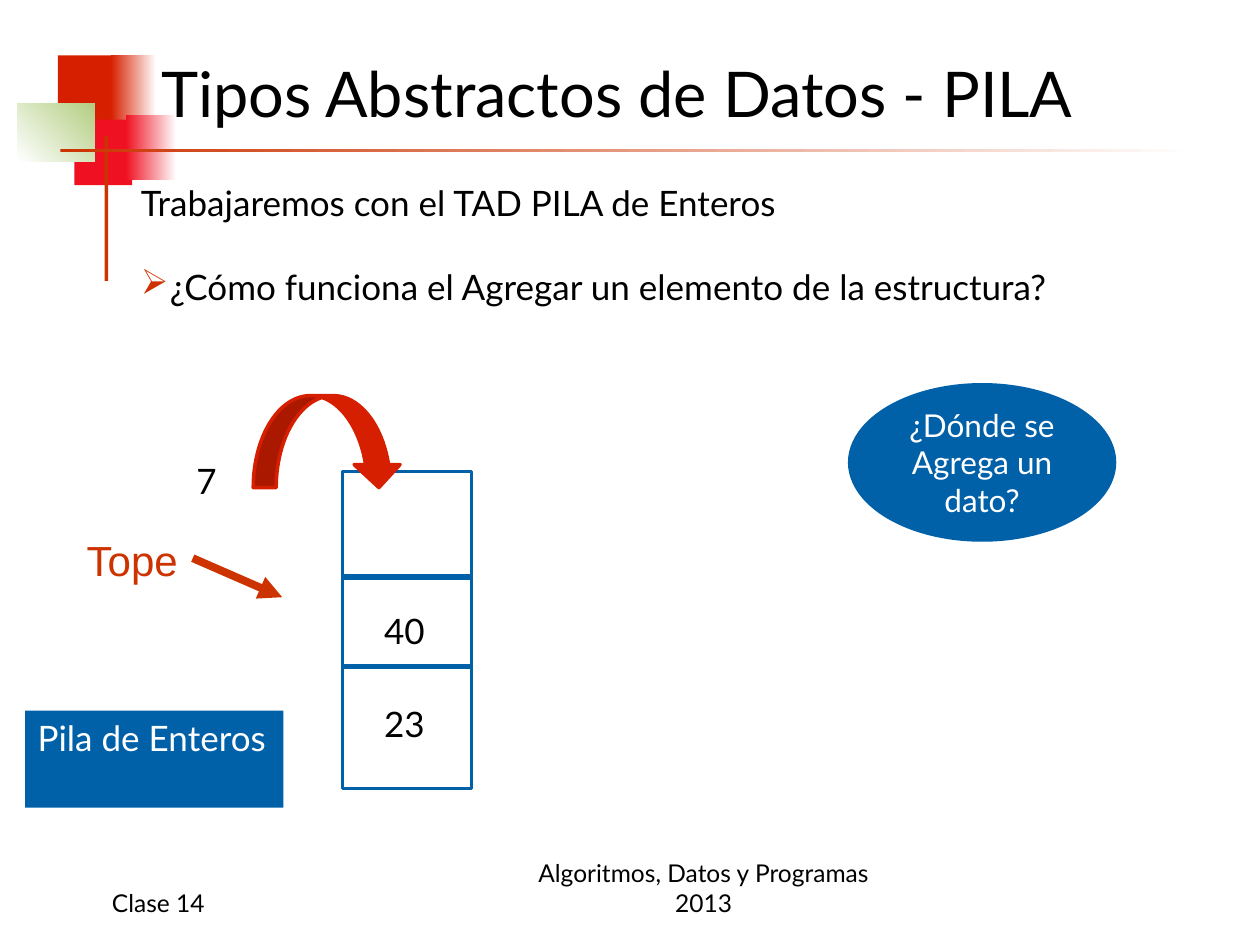
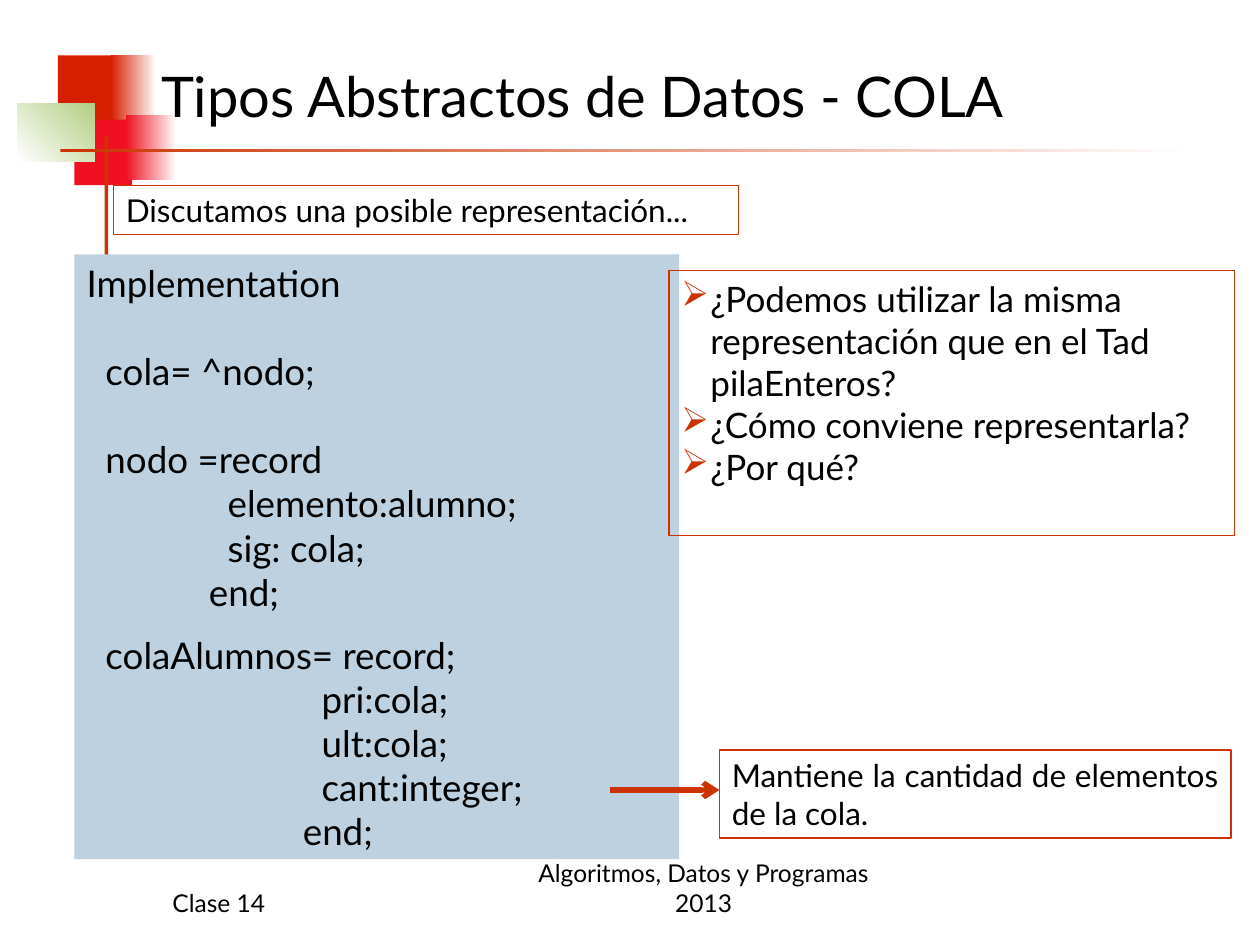
"""Build two class slides on the stack and queue abstract data types."""
from dataclasses import dataclass
from typing import NamedTuple

from lxml.etree import SubElement
from pptx import Presentation
from pptx.dml.color import RGBColor
from pptx.enum.shapes import MSO_CONNECTOR, MSO_SHAPE
from pptx.enum.text import MSO_ANCHOR, PP_ALIGN
from pptx.oxml.ns import qn
from pptx.util import Inches, Pt

COLORS = {
    "black": "000000",
    "white": "FFFFFF",
    "red": "D61F00",
    "crimson": "EF1121",
    "green": "B3CE82",
    "rust": "CC3300",
    "blue": "0060A8",
    "pale_blue": "BED1E0",
}
BULLET_INDENT = Inches(0.23)


class Frame(NamedTuple):
    """Position and size in inches."""

    left: float
    top: float
    width: float
    height: float

    def lengths(self) -> list:
        """Return the four values as lengths."""
        return [Inches(value) for value in self]


@dataclass
class Band:
    """Decorative rectangle, fading from its colour when an end is given."""

    frame: Frame
    color: str
    fade_to: str = ""
    angle: int = 0


@dataclass
class Line:
    """Paragraph of text with its spacing in points."""

    text: str
    bullet: bool = False
    before: float = 0


BANDS = [
    Band(Frame(0.46, 0.44, 0.48, 0.52), "red"),
    Band(Frame(0.88, 0.44, 0.36, 0.52), "red", "white"),
    Band(Frame(0.59, 0.95, 0.46, 0.52), "crimson"),
    Band(Frame(1, 0.91, 0.4, 0.52), "crimson", "white"),
    Band(Frame(0.14, 0.82, 0.61, 0.46), "white", "green", 45),
    Band(Frame(0.83, 1.08, 0.03, 1.15), "rust"),
    Band(Frame(0.48, 1.18, 9, 0.03), "rust", "white"),
]
QUEUE_CODE = [
    Line("Implementation"),
    Line("  cola= ^nodo;", before=25.2),
    Line("  nodo =record", before=25.2),
    Line("               elemento:alumno;"),
    Line("               sig: cola;"),
    Line("             end;"),
    Line("  colaAlumnos= record;", before=10.8),
    Line("                         pri:cola;"),
    Line("                         ult:cola;"),
    Line("                         cant:integer;"),
    Line("                       end;"),
]


def rgb(name: str) -> RGBColor:
    """Look up a named colour."""
    return RGBColor.from_string(COLORS[name])


def add_bullet(para) -> None:
    """Give a paragraph a hanging arrow bullet."""
    properties = para._p.get_or_add_pPr()
    properties.set("marL", str(BULLET_INDENT))
    properties.set("indent", str(-BULLET_INDENT))
    color = SubElement(properties, qn("a:buClr"))
    SubElement(color, qn("a:srgbClr"), val=COLORS["rust"])
    SubElement(properties, qn("a:buChar"), char="➢")


def write_text(box, text: str | list[Line], *, size: float = 20, color: str = "black",
               font: str = "Lato", align=PP_ALIGN.JUSTIFY, anchor=MSO_ANCHOR.TOP,
               wrap: bool = True) -> None:
    """Fill a box with formatted paragraphs."""
    frame = box.text_frame
    frame.word_wrap = wrap
    frame.vertical_anchor = anchor
    lines = [Line(text)] if isinstance(text, str) else text
    for index, line in enumerate(lines):
        para = frame.add_paragraph() if index else frame.paragraphs[0]
        para.alignment = align
        if line.before:
            para.space_before = Pt(line.before)
        if line.bullet:
            add_bullet(para)
        span = para.add_run()
        span.text = line.text
        span.font.name = font
        span.font.size = Pt(size)
        span.font.color.rgb = rgb(color)


def add_text(page, frame: Frame, text: str | list[Line], **style) -> None:
    """Place a plain text box."""
    write_text(page.shapes.add_textbox(*frame.lengths()), text, **style)


def add_figure(page, frame: Frame, kind=MSO_SHAPE.RECTANGLE, fill: str = "",
               line: str = "", weight: float = 1):
    """Place a preset shape with optional fill and outline."""
    figure = page.shapes.add_shape(kind, *frame.lengths())
    figure.shadow.inherit = False
    if fill:
        figure.fill.solid()
        figure.fill.fore_color.rgb = rgb(fill)
    else:
        figure.fill.background()
    if line:
        figure.line.color.rgb = rgb(line)
        figure.line.width = Pt(weight)
    else:
        figure.line.fill.background()
    return figure


def add_band(page, band: Band) -> None:
    """Place one decorative band."""
    figure = add_figure(page, band.frame, fill=band.color)
    if band.fade_to:
        figure.fill.gradient()
        figure.fill.gradient_angle = band.angle
        for stop, name in zip(figure.fill.gradient_stops, (band.color, band.fade_to)):
            stop.color.rgb = rgb(name)


def add_line(page, start: tuple[float, float], end: tuple[float, float], color: str,
             weight: float, head: str = "") -> None:
    """Draw a straight line, with an arrowhead when one is named."""
    points = [Inches(value) for value in (*start, *end)]
    connector = page.shapes.add_connector(MSO_CONNECTOR.STRAIGHT, *points)
    connector.line.color.rgb = rgb(color)
    connector.line.width = Pt(weight)
    if head:
        SubElement(connector.line._get_or_add_ln(), qn("a:tailEnd"), type=head)
    SubElement(connector._element.spPr, qn("a:effectLst"))


def add_page(deck, title: str, title_frame: Frame, title_size: float, class_left: float):
    """Add a page with the shared bands, title and footers."""
    page = deck.slides.add_slide(deck.slide_layouts[6])
    for band in BANDS:
        add_band(page, band)
    bottom = MSO_ANCHOR.BOTTOM
    add_text(page, title_frame, title, size=title_size, align=PP_ALIGN.LEFT, anchor=bottom)
    add_text(page, Frame(4, 6.83, 3.17, 0.5), "Algoritmos, Datos y Programas 2013",
             size=14, align=PP_ALIGN.CENTER, anchor=bottom)
    add_text(page, Frame(class_left, 6.83, 2.08, 0.5), "Clase 14",
             size=14, align=PP_ALIGN.LEFT, anchor=bottom)
    return page


def build_stack_page(deck) -> None:
    """Show how an element is pushed onto the stack."""
    page = add_page(deck, "Tipos Abstractos de Datos - PILA",
                    Frame(1.18, 0.21, 7.76, 0.87), 36, 0.79)
    add_text(page, Frame(1.02, 1.39, 8.7, 1.1), [
        Line("Trabajaremos con el TAD PILA de Enteros"),
        Line("¿Cómo funciona el Agregar un elemento de la estructura?", bullet=True, before=24),
    ])

    stack = Frame(2.72, 3.74, 1.02, 2.52)
    add_figure(page, stack, line="blue", weight=1.5)
    for divider in (4.58, 5.29):
        add_line(page, (stack.left, divider), (stack.left + stack.width, divider), "blue", 3)
    for value, left, top in (("7", 1.46, 3.6), ("40", 2.95, 4.79), ("23", 2.95, 5.53)):
        add_text(page, Frame(left, top, 0.55, 0.44), value)

    add_figure(page, Frame(2.01, 3.14, 1.18, 0.73), MSO_SHAPE.CURVED_DOWN_ARROW,
               fill="red", line="red", weight=2)
    label = add_figure(page, Frame(0.2, 5.64, 2.05, 0.77), fill="blue")
    write_text(label, "Pila de Enteros", color="white")
    question = add_figure(page, Frame(6.73, 3.04, 2.13, 1.26), MSO_SHAPE.OVAL, fill="blue")
    write_text(question, [Line("¿Dónde se"), Line("Agrega un"), Line("dato?")], size=18,
               color="white", align=PP_ALIGN.CENTER, anchor=MSO_ANCHOR.MIDDLE, wrap=False)
    add_text(page, Frame(0.59, 4.19, 0.96, 0.5), "Tope", size=24, color="rust",
             font="Arial", align=PP_ALIGN.LEFT, wrap=False)
    add_line(page, (1.53, 4.43), (2.24, 4.74), "rust", 4.5, "triangle")


def build_queue_page(deck) -> None:
    """Discuss a representation for the queue."""
    page = add_page(deck, "Tipos Abstractos de Datos - COLA",
                    Frame(1.18, 0.19, 8.07, 0.88), 32, 1.27)
    code = add_figure(page, Frame(0.59, 2.02, 4.8, 4.8), fill="pale_blue")
    write_text(code, QUEUE_CODE, size=21)
    add_line(page, (4.84, 6.27), (5.71, 6.27), "rust", 3, "arrow")
    note = add_figure(page, Frame(5.71, 5.95, 4.06, 0.7), line="rust")
    write_text(note, "Mantiene la cantidad de elementos de la cola.", size=18)
    prompt = add_figure(page, Frame(0.9, 1.47, 4.96, 0.39), line="rust", weight=0.75)
    write_text(prompt, "Discutamos una posible representación...", size=18,
               anchor=MSO_ANCHOR.MIDDLE)
    questions = add_figure(page, Frame(5.31, 2.15, 4.49, 2.1), line="rust", weight=0.75)
    write_text(questions, [
        Line("¿Podemos utilizar la misma representación que en el Tad pilaEnteros?", bullet=True),
        Line("¿Cómo conviene representarla?", bullet=True),
        Line("¿Por qué?", bullet=True),
    ], align=PP_ALIGN.LEFT)


def main() -> None:
    """Build and save the deck."""
    deck = Presentation()
    deck.slide_width = Inches(10)
    deck.slide_height = Inches(7.5)
    build_stack_page(deck)
    build_queue_page(deck)
    deck.save("out.pptx")


if __name__ == "__main__":
    main()
